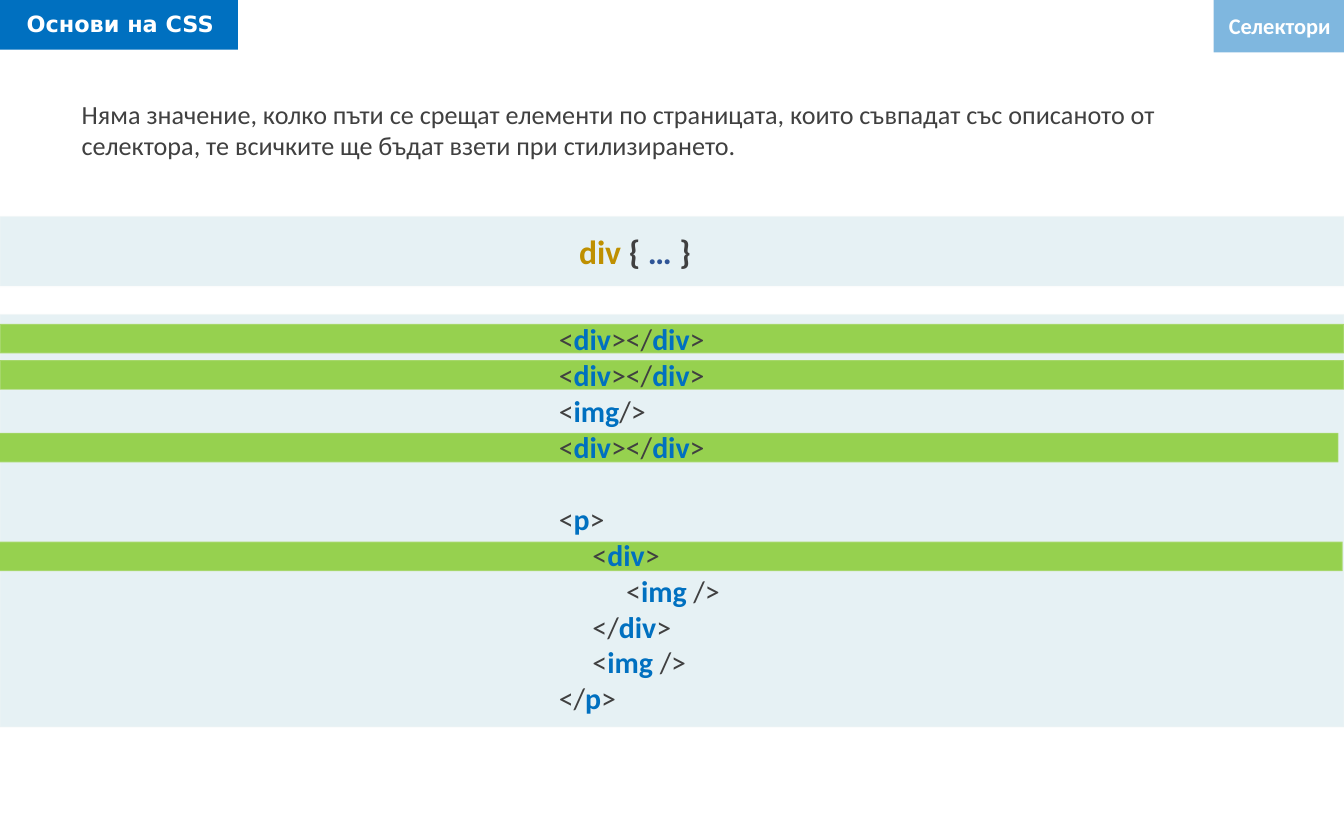
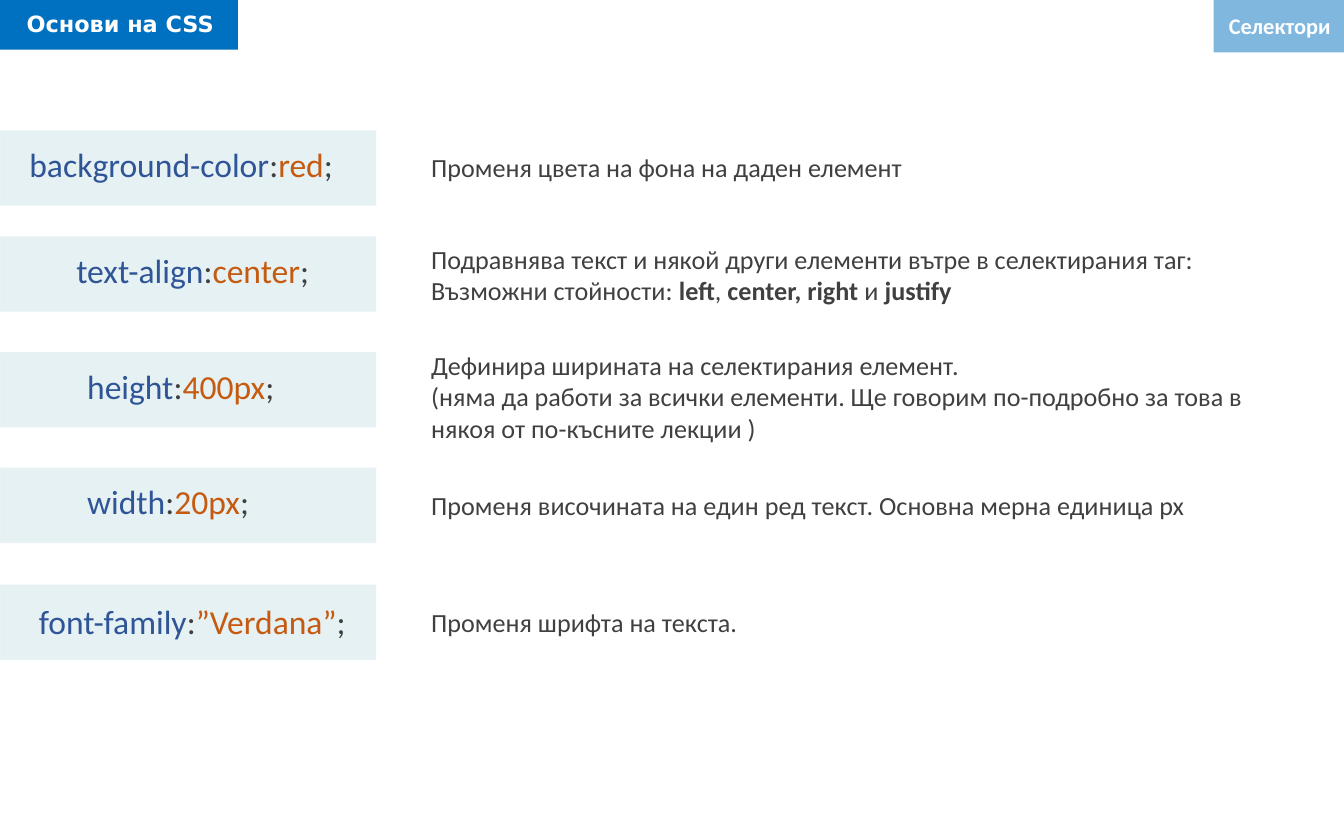
import pptx
import pptx.dml.color
import pptx.enum.shapes
import pptx.enum.text
import pptx.oxml
import pptx.oxml.ns
import pptx.util

PX = 9144  # EMU in one px, 100 px to the inch
WIDTH, HEIGHT = 1000, 625
COLORS = {
    "blue": "0070C0",
    "teal": "127994",
    "green": "96D14F",
    "edge": "F8F8F8",
    "white": "FFFFFF",
    "text": "404040",
    "selector": "BF9000",
    "property": "2F5597",
    "value": "C55A11",
}
SIZES = {"tab": 12, "body": 14, "listing": 16, "code": 18}
LISTING_LINE = 19.5

MARKUP = [
    "<|div|></|div|>",
    "<|div|></|div|>",
    "<|img|/>",
    "<|div|></|div|>",
    "<|p|>",
    "     <|div|>",
    "          <|img| />",
    "     </|div|>",
    "     <|img| />",
    "</|p|>",
]
MATCHES = [(0, 0), (1, 0), (3, -4), (6, -1)]  # line of the listing, left edge

# band top, code left, top and width, property, value,
# description top and height, description paragraphs
PROPERTIES = [
    (97, 12, 102, 249, "background-color", "red", 108, 34,
     ["Променя цвета на фона на даден елемент"]),
    (176, 47, 181, 196, "text-align", "center", 176, 57,
     ["Подравнява текст и някой други елементи вътре в селектирания таг:",
      "Възможни стойности: |left|, |center, right |и |justify"]),
    (262, 55, 267, 161, "height", "400px", 255, 81,
     ["Дефинира ширината на селектирания елемент.\n"
      "(няма да работи за всички елементи. Ще говорим по-подробно за това "
      "в някоя от по-късните лекции )"]),
    (348, 55, 353, 142, "width", "20px", 359, 34,
     ["Променя височината на един ред текст. Основна мерна единица px"]),
    (435, 19, 442, 252, "font-family", "”Verdana”", 446, 34,
     ["Променя шрифта на текста."]),
]


def rgb(name):
    return pptx.dml.color.RGBColor.from_string(COLORS[name])


def set_opacity(parent, percent):
    """Make the solid fill found directly under parent see-through."""
    for clr in parent.xpath("./a:solidFill/a:srgbClr"):
        alpha = pptx.oxml.parse_xml(
            f'<a:alpha {pptx.oxml.ns.nsdecls("a")} val="{percent * 1000}"/>')
        clr.append(alpha)


def emphasise(line, color="text"):
    """Split a line at its bars; every second piece is bold and coloured."""
    return [(piece, color if i % 2 else "text", bool(i % 2))
            for i, piece in enumerate(line.split("|"))]


def add_text(tf, paragraphs, size, font="Calibri", align=None):
    """Fill a frame with paragraphs, each a list of (text, colour, bold)."""
    for i, pieces in enumerate(paragraphs):
        p = tf.paragraphs[0] if i == 0 else tf.add_paragraph()
        p.alignment = align
        for text, color, bold in pieces:
            for n, part in enumerate(text.split("\n")):
                if n:
                    p.add_line_break()
                r = p.add_run()
                r.text = part
                r.font.name = font
                r.font.size = pptx.util.Pt(SIZES[size])
                r.font.bold = bold
                r.font.color.rgb = rgb(color)


class Deck:
    def __init__(self):
        self.prs = pptx.Presentation()
        self.prs.slide_width = WIDTH * PX
        self.prs.slide_height = HEIGHT * PX
        self.s = None

    def slide(self):
        """Start a slide with the course and topic tabs."""
        self.s = self.prs.slides.add_slide(self.prs.slide_layouts[6])
        self.rect(0, -2, 177, 39, "blue")
        self.text(10, 3, 167, 30, [[("Основи на CSS", "white", True)]],
                  "tab", font="DejaVu Sans")
        self.rect(903, 0, 97, 39, "blue", opacity=50)
        self.text(903, 4, 97, 30, [[("Селектори", "white", True)]], "tab",
                  wrap=False, align=pptx.enum.text.PP_ALIGN.RIGHT)

    def rect(self, x, y, w, h, color, opacity=None, edge=False):
        sp = self.s.shapes.add_shape(
            pptx.enum.shapes.MSO_SHAPE.RECTANGLE,
            x * PX, y * PX, w * PX, h * PX)
        sp.shadow.inherit = False
        sp.fill.solid()
        sp.fill.fore_color.rgb = rgb(color)
        if opacity:
            set_opacity(sp.element.spPr, opacity)
        if edge:
            sp.line.color.rgb = rgb("edge")
            sp.line.width = pptx.util.Pt(1)
            set_opacity(sp.element.spPr.xpath("./a:ln")[0], 16)
        else:
            sp.line.fill.background()

    def code_band(self, y, w, h):
        self.rect(0, y, w, h, "teal", opacity=10, edge=True)

    def text(self, x, y, w, h, paragraphs, size, wrap=True, **style):
        box = self.s.shapes.add_textbox(x * PX, y * PX, w * PX, h * PX)
        tf = box.text_frame
        tf.word_wrap = wrap
        tf.auto_size = pptx.enum.text.MSO_AUTO_SIZE.SHAPE_TO_FIT_TEXT
        add_text(tf, paragraphs, size, **style)
        return tf


def selector_slide(deck):
    deck.slide()
    deck.text(51, 68, 906, 57, [emphasise(
        "Няма значение, колко пъти се срещат елементи по страницата, които "
        "съвпадат със описаното от селектора, те всичките ще бъдат взети "
        "при стилизирането.")], "body")
    deck.code_band(161, WIDTH, 52)
    deck.text(421, 167, 205, 40, [[
        ("div ", "selector", True), ("{ ", "text", True),
        ("… ", "property", True), ("}", "text", True)]], "code")
    deck.code_band(234, WIDTH, 307)
    for line, x in MATCHES:
        deck.rect(x, 241 + 27 * line, WIDTH, 22, "green", edge=True)
    tf = deck.text(406, 234, 278, 360,
                   [emphasise(line, "blue") for line in MARKUP], "listing")
    tf.paragraphs[MARKUP.index("<|p|>")].space_before = pptx.util.Pt(LISTING_LINE)


def properties_slide(deck):
    deck.slide()
    for (top, code_x, code_y, code_w, name, value,
         about_y, about_h, about) in PROPERTIES:
        deck.code_band(top, 280, 56)
        deck.text(code_x, code_y, code_w, 40, [[
            (name, "property", False), (":", "text", False),
            (value, "value", False), (";", "text", False)]],
            "code", wrap=False)
        deck.text(311, about_y, 661, about_h,
                  [emphasise(line) for line in about], "body")


def main():
    deck = Deck()
    selector_slide(deck)
    properties_slide(deck)
    deck.prs.save("out.pptx")


if __name__ == "__main__":
    main()
